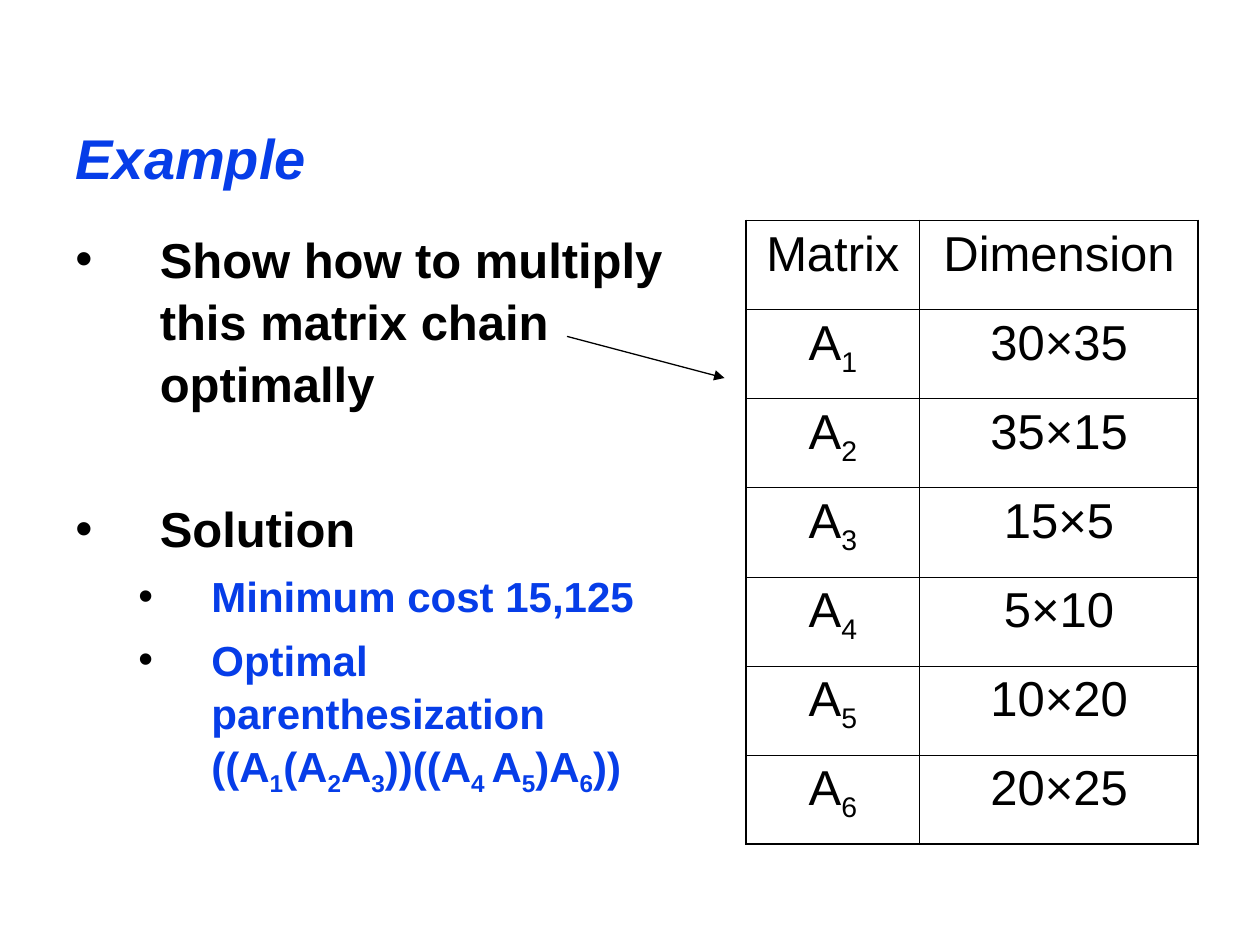
from dataclasses import dataclass

from lxml import etree
from pptx import Presentation
from pptx.dml.color import RGBColor
from pptx.enum.shapes import MSO_CONNECTOR
from pptx.enum.text import MSO_ANCHOR, PP_ALIGN
from pptx.oxml.ns import qn
from pptx.util import Inches, Pt


@dataclass(frozen=True)
class Theme:
    font: str = "Arial"
    ink: RGBColor = RGBColor(0, 0, 0)
    accent: RGBColor = RGBColor(0x06, 0x3D, 0xE8)
    title_size: int = 32
    main_size: int = 28
    sub_size: int = 24
    line_spacing: float = 1.05
    outer_border: float = 1.08
    inner_border: float = 0.45
    arrow_width: float = 0.75


@dataclass(frozen=True)
class Bullet:
    text: str  # parts between ~ marks are subscripts
    level: int = 0
    space_before: float = 6


THEME = Theme()

BULLETS = [
    Bullet("Show how to multiply this matrix chain optimally", space_before=0),
    Bullet("Solution", space_before=48),
    Bullet("Minimum cost 15,125", level=1),
    Bullet("Optimal parenthesization ((A~1~(A~2~A~3~))((A~4 ~A~5~)A~6~))", level=1),
]

DIMENSIONS = ["30×35", "35×15", "15×5", "5×10", "10×20", "20×25"]


def write_text(paragraph, text: str, size: int, color: RGBColor,
               bold: bool = False, italic: bool = False) -> None:
    """Write text whose ~marked~ parts are subscripts."""
    for index, part in enumerate(text.split("~")):
        if not part:
            continue
        run = paragraph.add_run()
        run.text = part
        run.font.name = THEME.font
        run.font.size = Pt(size)
        run.font.bold = bold
        run.font.italic = italic
        run.font.color.rgb = color
        if index % 2:
            run.font._element.set("baseline", "-25000")


def add_bullet(paragraph, bullet: Bullet) -> None:
    margin, hanging = [(0.67, 0.67), (1.08, 0.58)][bullet.level]
    properties = paragraph._p.get_or_add_pPr()
    properties.set("marL", str(Inches(margin)))
    properties.set("indent", str(-Inches(hanging)))
    paragraph.level = bullet.level
    paragraph.line_spacing = THEME.line_spacing
    paragraph.space_before = Pt(bullet.space_before)
    bullet_color = etree.SubElement(properties, qn("a:buClr"))
    etree.SubElement(bullet_color, qn("a:srgbClr"), val=str(THEME.ink))
    etree.SubElement(properties, qn("a:buFont"), typeface=THEME.font)
    etree.SubElement(properties, qn("a:buChar"), char="•")
    size, color = [(THEME.main_size, THEME.ink),
                   (THEME.sub_size, THEME.accent)][bullet.level]
    write_text(paragraph, bullet.text, size, color, bold=True)


def set_borders(cell, outer_sides: dict[str, bool]) -> None:
    properties = cell._tc.get_or_add_tcPr()
    for side, is_outer in outer_sides.items():
        width = THEME.outer_border if is_outer else THEME.inner_border
        border = etree.SubElement(properties, qn(f"a:ln{side}"), w=str(Pt(width)))
        fill = etree.SubElement(border, qn("a:solidFill"))
        etree.SubElement(fill, qn("a:srgbClr"), val=str(THEME.ink))


def add_title(slide, text: str) -> None:
    title = slide.shapes.title
    title.left, title.top = Inches(0.5), Inches(0.5)
    title.width, title.height = Inches(9), Inches(1.5)
    title.text_frame.vertical_anchor = MSO_ANCHOR.MIDDLE
    heading = title.text_frame.paragraphs[0]
    heading.alignment = PP_ALIGN.LEFT
    write_text(heading, text, THEME.title_size, THEME.accent, bold=True, italic=True)


def add_bullets(slide, bullets: list[Bullet]) -> None:
    body = slide.shapes.add_textbox(
        Inches(0.5), Inches(1.75), Inches(5.17), Inches(4.95)).text_frame
    body.word_wrap = True
    for index, bullet in enumerate(bullets):
        add_bullet(body.add_paragraph() if index else body.paragraphs[0], bullet)


def add_dimension_table(slide, rows: list[tuple[str, str]]) -> None:
    last_row = len(rows) - 1
    table = slide.shapes.add_table(
        len(rows), 2, Inches(5.92), Inches(1.75), Inches(3.59), Inches(4.95)).table
    table.first_row = table.horz_banding = False
    table.columns[0].width, table.columns[1].width = Inches(1.38), Inches(2.21)
    for r, row in enumerate(rows):
        for c, text in enumerate(row):
            cell = table.cell(r, c)
            set_borders(cell, {"L": c == 0, "R": c == 1,
                               "T": r == 0, "B": r == last_row})
            cell.fill.background()
            entry = cell.text_frame.paragraphs[0]
            entry.alignment = PP_ALIGN.CENTER
            write_text(entry, text, THEME.main_size, THEME.ink)


def add_arrow(slide) -> None:
    arrow = slide.shapes.add_connector(
        MSO_CONNECTOR.STRAIGHT, Inches(4.5), Inches(2.67), Inches(5.75), Inches(3))
    arrow.line.color.rgb = THEME.ink
    arrow.line.width = Pt(THEME.arrow_width)
    etree.SubElement(arrow.line._get_or_add_ln(), qn("a:tailEnd"),
                     type="triangle", w="med", len="med")
    etree.SubElement(arrow._element.spPr, qn("a:effectLst"))


def main() -> None:
    presentation = Presentation()
    presentation.slide_width, presentation.slide_height = Inches(10), Inches(7.5)
    slide = presentation.slides.add_slide(presentation.slide_layouts[5])

    # Problem and solution on the left
    add_title(slide, "Example")
    add_bullets(slide, BULLETS)

    # Matrix chain on the right, with the arrow pointing to it
    chain = [(f"A~{number}~", size) for number, size in enumerate(DIMENSIONS, 1)]
    add_dimension_table(slide, [("Matrix", "Dimension"), *chain])
    add_arrow(slide)

    presentation.save("out.pptx")


if __name__ == "__main__":
    main()
